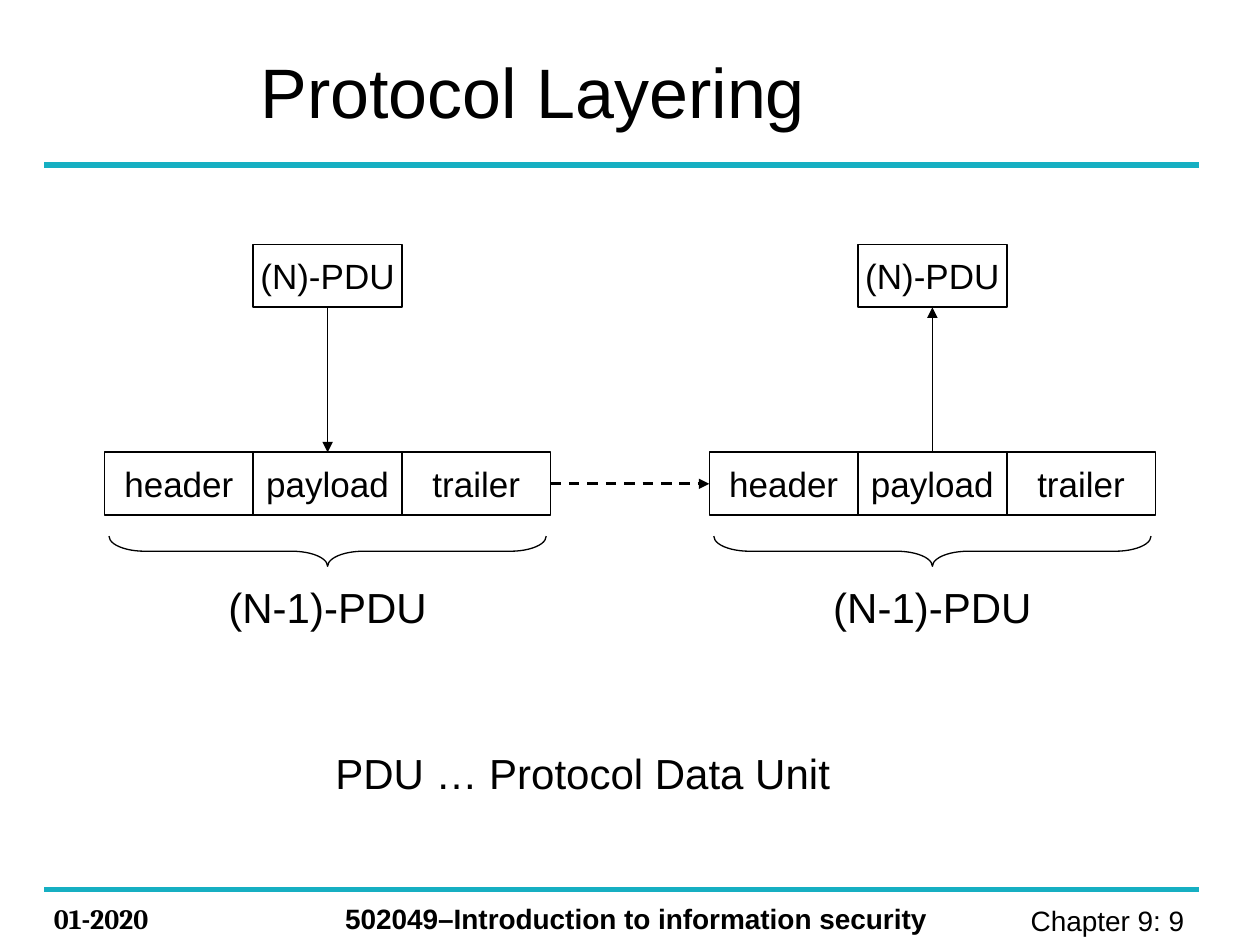
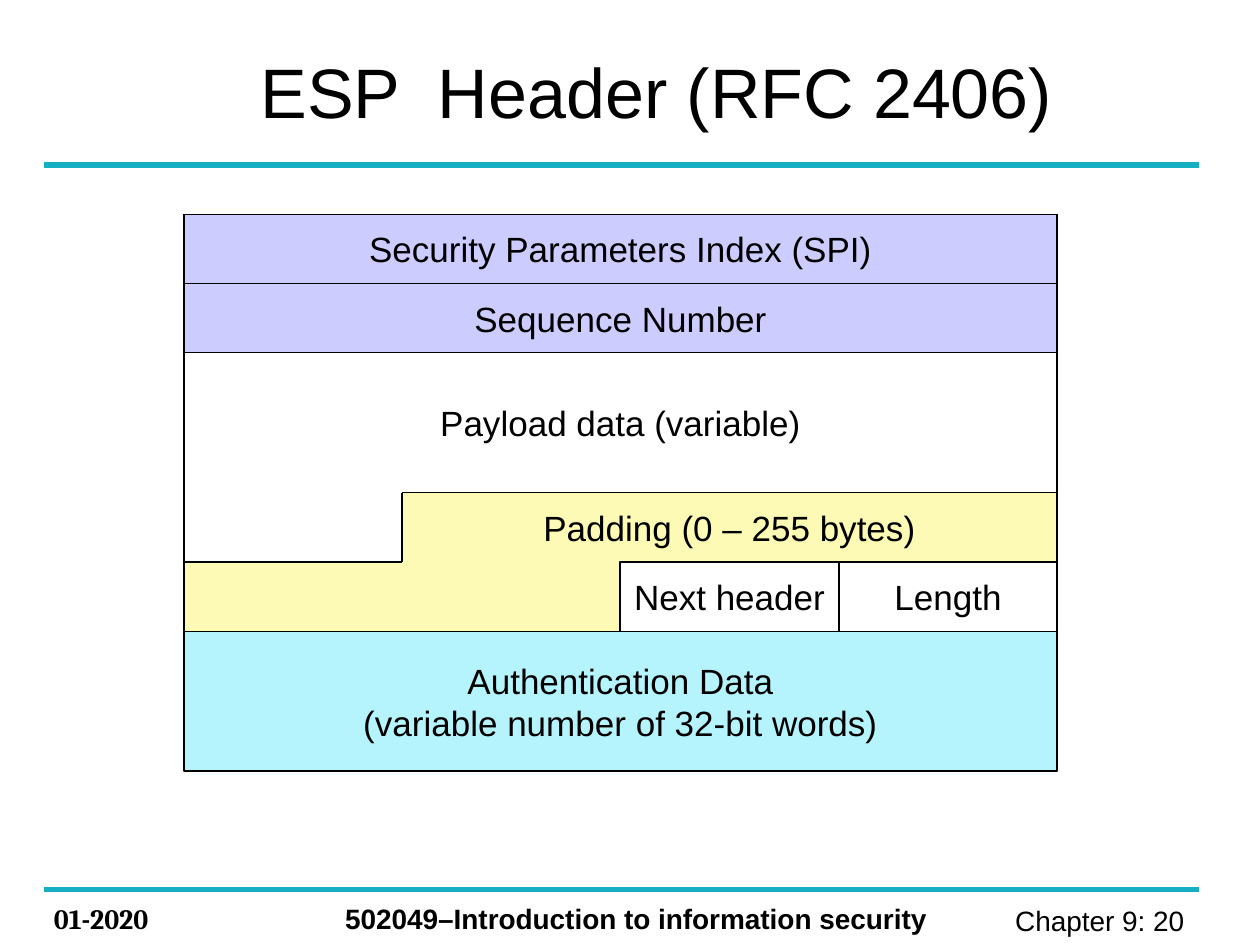
from lxml import etree
from pptx import Presentation
from pptx.dml.color import RGBColor
from pptx.enum.dml import MSO_LINE
from pptx.enum.shapes import MSO_CONNECTOR, MSO_SHAPE
from pptx.enum.text import MSO_ANCHOR, PP_ALIGN
from pptx.oxml.ns import qn
from pptx.util import Pt

PX = 9144  # EMU per px, 100 px to the inch
rgb = RGBColor.from_string
LEFT, CENTER, RIGHT = PP_ALIGN.LEFT, PP_ALIGN.CENTER, PP_ALIGN.RIGHT
TOP, MIDDLE = MSO_ANCHOR.TOP, MSO_ANCHOR.MIDDLE

BLACK, WHITE, TEAL = "000000", "FFFFFF", "16AFC2"
LILAC, YELLOW, CYAN = "CCCCFF", "FDFAB5", "B5F4FD"


def add_box(s, x, y, w, h, text="", size=20, fill=None, border=0, align=CENTER,
            anchor=MIDDLE, wrap=False, font="Arial", bold=False):
    """Add a rectangle, or a text box when there is neither fill nor border."""
    frame = [n * PX for n in (x, y, w, h)]
    if fill or border:
        sp = s.shapes.add_shape(MSO_SHAPE.RECTANGLE, *frame)
        sp.shadow.inherit = False
    else:
        sp = s.shapes.add_textbox(*frame)
    if fill:
        sp.fill.solid()
        sp.fill.fore_color.rgb = rgb(fill)
    else:
        sp.fill.background()
    if border:
        sp.line.color.rgb = rgb(BLACK)
        sp.line.width = Pt(border)
    else:
        sp.line.fill.background()
    tf = sp.text_frame
    tf.word_wrap = wrap
    tf.vertical_anchor = anchor
    tf.text = text
    for p in tf.paragraphs:
        p.alignment = align
        p.font.name, p.font.size, p.font.bold = font, Pt(size), bold
        p.font.color.rgb = rgb(BLACK)
    return sp


def add_line(s, x1, y1, x2, y2, color=BLACK, width=0.75, dash=None, arrow=False):
    cxn = s.shapes.add_connector(MSO_CONNECTOR.STRAIGHT, x1 * PX, y1 * PX, x2 * PX, y2 * PX)
    cxn.line.color.rgb = rgb(color)
    cxn.line.width = Pt(width)
    if dash:
        cxn.line.dash_style = dash
    if arrow:
        etree.SubElement(cxn.line._get_or_add_ln(), qn("a:tailEnd"), type="triangle")
    etree.SubElement(cxn._element.spPr, qn("a:effectLst"))
    return cxn


prs = Presentation()
prs.slide_width, prs.slide_height = 1000 * PX, 750 * PX

# Title, rules and footer shared by both slides
slides = []
for title, number in (("Protocol Layering", 9), ("ESP  Header (RFC 2406)", 20)):
    s = prs.slides.add_slide(prs.slide_layouts[6])
    for y in (131, 706):
        add_line(s, 35, y, 952, y, TEAL, 3)
    footer = dict(size=16, anchor=TOP, wrap=True)
    add_box(s, 736, 712, 220, 37, f"Chapter 9: {number} ", align=RIGHT, **footer)
    add_box(s, 33, 711, 133, 37, "01-2020", align=LEFT, font="Cambria", bold=True, **footer)
    add_box(s, 264, 711, 504, 37, "502049–Introduction to information security",
            align=LEFT, bold=True, **footer)
    add_box(s, 197, 28, 803, 87, title, size=40, align=LEFT, wrap=True)
    slides.append(s)
layering, esp = slides

# Protocol layering: sender on the left, receiver on the right
FIELD_W, FIELD_H = 118, 50
ends = []
for x in (83, 563):
    pdu = add_box(layering, x + FIELD_W, 194, FIELD_W, FIELD_H, "(N)-PDU",
                  fill=WHITE, border=1)
    fields = [add_box(layering, x + i * FIELD_W, 359, FIELD_W, FIELD_H, name,
                      fill=WHITE, border=1)
              for i, name in enumerate(("header", "payload", "trailer"))]
    add_box(layering, x + 88, 457, 178, 50, "(N-1)-PDU", size=24, anchor=TOP)
    brace = layering.shapes.add_shape(MSO_SHAPE.RIGHT_BRACE, (x + 165) * PX, 264 * PX,
                                      24 * PX, 347 * PX)
    brace.rotation = 90
    brace.adjustments[0], brace.adjustments[1] = 1.18, 0.5
    brace.shadow.inherit = False
    brace.fill.background()
    brace.line.color.rgb = rgb(BLACK)
    brace.line.width = Pt(0.75)
    ends.append((pdu, fields))

(sent_pdu, sent), (received_pdu, received) = ends
down = add_line(layering, 260, 244, 260, 359, arrow=True)
down.begin_connect(sent_pdu, 2)
down.end_connect(sent[1], 0)
up = add_line(layering, 740, 359, 740, 244, arrow=True)
up.begin_connect(received[1], 0)
up.end_connect(received_pdu, 2)
across = add_line(layering, 437, 384, 563, 384, width=1.5, dash=MSO_LINE.DASH, arrow=True)
across.begin_connect(sent[2], 3)
across.end_connect(received[0], 1)
add_box(layering, 256, 588, 413, 50, "PDU … Protocol Data Unit", size=24, anchor=TOP)

# ESP header: a grid of 4 columns (one byte each) and 8 rows
cols = [146 + round(i * 173.25) for i in range(5)]
rows = [170 + round(i * 55.2) for i in range(9)]
for c1, c2, r1, r2, text, fill, border in (
    (0, 2, 5, 6, "", YELLOW, 0),
    (0, 4, 6, 8, "Authentication Data\n(variable number of 32-bit words)", CYAN, 0.75),
    (0, 4, 0, 1, "Security Parameters Index (SPI)", LILAC, 0.75),
    (0, 4, 1, 2, "Sequence Number", LILAC, 0.75),
    (0, 4, 2, 4, "Payload data (variable)", None, 0),
    (1, 4, 4, 5, "Padding (0 – 255 bytes)", YELLOW, 0),
    (3, 4, 5, 6, "Length", None, 0.75),
    (2, 3, 5, 6, "Next header", None, 0.75),
):
    add_box(esp, cols[c1], rows[r1], cols[c2] - cols[c1], rows[r2] - rows[r1],
            text, fill=fill, border=border)

# Outer sides and the stepped edge between payload and padding
for c1, r1, c2, r2 in ((0, 0, 0, 6), (4, 0, 4, 6), (1, 4, 4, 4), (1, 4, 1, 5), (0, 5, 1, 5)):
    add_line(esp, cols[c1], rows[r1], cols[c2], rows[r2])

prs.save("out.pptx")
